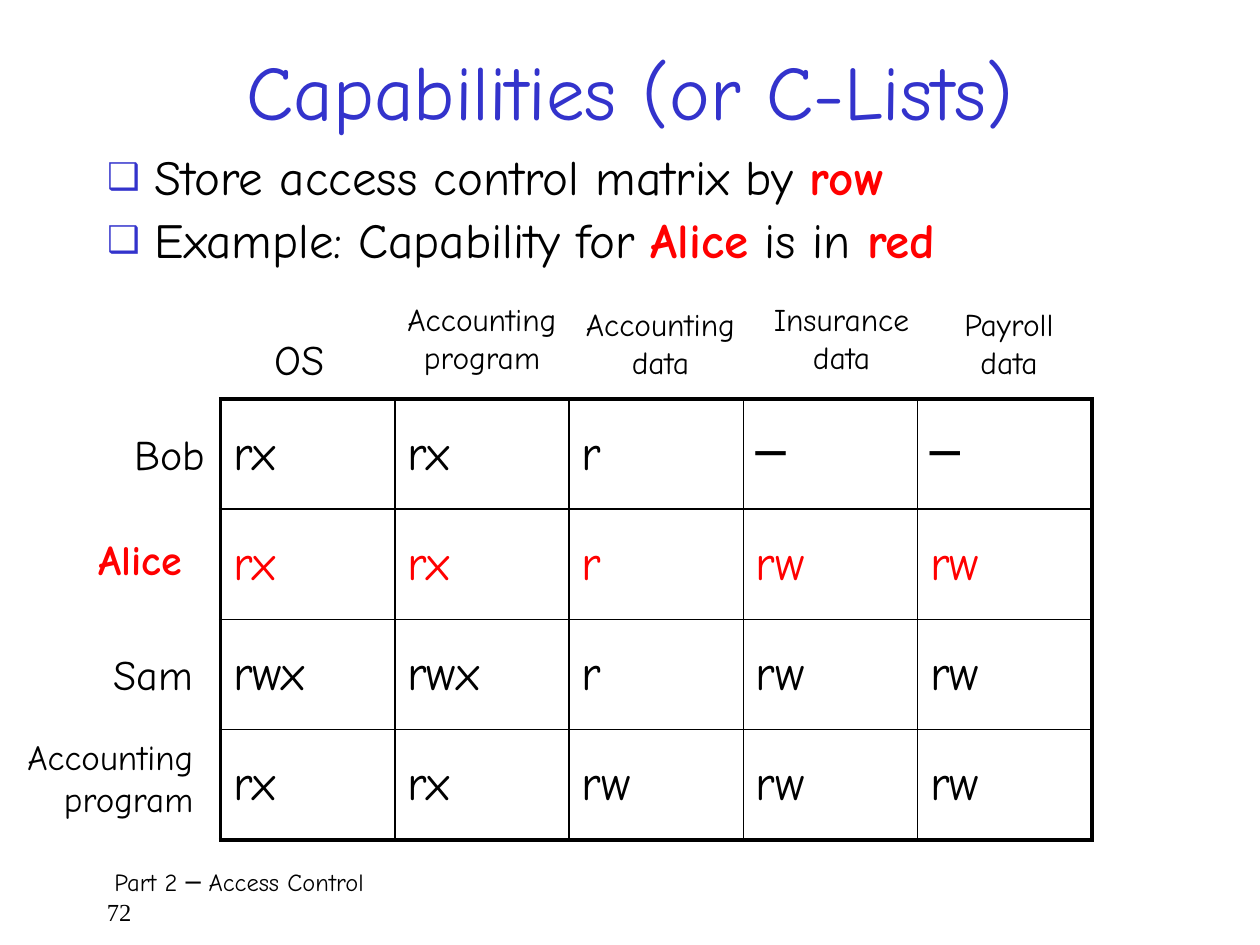
"""Build the slide on capabilities: an access control matrix with Alice's row in red."""
from lxml.etree import SubElement
from pptx import Presentation
from pptx.dml.color import RGBColor
from pptx.enum.text import MSO_ANCHOR as ANCHOR, MSO_AUTO_SIZE as AUTO, PP_ALIGN as ALIGN
from pptx.oxml import parse_xml
from pptx.oxml.ns import nsdecls, qn
from pptx.util import Inches, Pt

BLACK = RGBColor(0x00, 0x00, 0x00)
RED = RGBColor(0xFF, 0x00, 0x00)
BLUE = RGBColor(0x33, 0x33, 0xCC)
FONT = "Comic Neue"

prs = Presentation()
prs.slide_width, prs.slide_height = Inches(10), Inches(7.5)
U = prs.slide_width // 120
s = prs.slides.add_slide(prs.slide_layouts[1])


def place(sp, *box):
    sp.left, sp.top, sp.width, sp.height = [round(v * U) for v in box]


def style(p, size, color=BLACK, bold=False, align=ALIGN.LEFT, font=FONT):
    p.font.size, p.font.name, p.font.bold = Pt(size), font, bold
    p.font.color.rgb = color
    p.alignment = align


title = s.shapes.title
place(title, 9, 2, 102, 13)
tf = title.text_frame
tf.text = "Capabilities (or C-Lists)"
tf.auto_size, tf.vertical_anchor = AUTO.NONE, ANCHOR.MIDDLE
style(tf.paragraphs[0], 44, BLUE, align=ALIGN.CENTER)

body = s.placeholders[1]
place(body, 9, 14, 102, 15)
tf = body.text_frame
tf.auto_size = AUTO.NONE
bullets = [
    [("Store access control matrix by ", False), ("row", True)],
    [("Example: Capability for ", False), ("Alice", True), (" is in ", False), ("red", True)],
]
for i, parts in enumerate(bullets):
    p = tf.add_paragraph() if i else tf.paragraphs[0]
    style(p, 28)
    p.line_spacing, p.space_before = 0.9, Pt(5.6)
    pPr = p._p.get_or_add_pPr()
    pPr.set("marL", str(Inches(0.38)))
    pPr.set("indent", str(-Inches(0.38)))
    marks = [
        f'<a:buClr {nsdecls("a")}><a:srgbClr val="{BLUE}"/></a:buClr>',
        f'<a:buSzPct {nsdecls("a")} val="75000"/>',
        f'<a:buChar {nsdecls("a")} char="❑"/>',
    ]
    at = pPr.index(pPr.find(qn("a:defRPr")))
    for k, mark in enumerate(marks):
        pPr.insert(at + k, parse_xml(mark))
    for text, key in parts:
        r = p.add_run()
        r.text = text
        r.font.size, r.font.name, r.font.bold = Pt(28), FONT, key
        r.font.color.rgb = RED if key else BLACK

rights = [
    ["rx", "rx", "r", "─", "─"],
    ["rx", "rx", "r", "rw", "rw"],
    ["rwx", "rwx", "r", "rw", "rw"],
    ["rx", "rx", "rw", "rw", "rw"],
]
rows, cols = len(rights), len(rights[0])
table = s.shapes.add_table(rows, cols, 21 * U, 38 * U, 83 * U, 42 * U).table
table.first_row = table.horz_banding = False
for i, row in enumerate(rights):
    for j, text in enumerate(row):
        cell = table.cell(i, j)
        cell.text, cell.vertical_anchor = text, ANCHOR.MIDDLE
        p = cell.text_frame.paragraphs[0]
        style(p, 28, RED if i == 1 else BLACK)
        p.space_before = Pt(5.6)
        cell.fill.background()
        tcPr = cell._tc.get_or_add_tcPr()
        outer = {"L": j == 0, "R": j == cols - 1, "T": i == 0, "B": i == rows - 1}
        for k, (side, thick) in enumerate(outer.items()):
            ln = SubElement(tcPr, qn(f"a:ln{side}"), w=str(Pt(2.25 if thick else 1)))
            SubElement(SubElement(ln, qn("a:solidFill")), qn("a:srgbClr"), val=str(BLACK))
            tcPr.insert(k, ln)

labels = [
    (["OS"], 24, BLACK, ALIGN.LEFT, (25, 31.2, 8.4, 6.8)),
    (["Accounting", "program"], 18, BLACK, ALIGN.CENTER, (37, 28, 17.8, 9.6)),
    (["Accounting", "data"], 18, BLACK, ALIGN.CENTER, (54, 28.5, 17.8, 9.6)),
    (["Insurance", "data"], 18, BLACK, ALIGN.CENTER, (72, 28, 16.3, 9.6)),
    (["Payroll", "data"], 18, BLACK, ALIGN.CENTER, (90.2, 28.5, 11.8, 9.6)),
    (["Bob"], 24, BLACK, ALIGN.LEFT, (11.6, 40.2, 9.4, 6.8)),
    (["Alice"], 24, RED, ALIGN.LEFT, (8.2, 50.2, 11.9, 6.8)),
    (["Sam"], 24, BLACK, ALIGN.LEFT, (9.6, 61.2, 10.3, 6.8)),
    (["Accounting", "program"], 20, BLACK, ALIGN.RIGHT, (0, 69.5, 19.6, 10.6)),
]
for lines, size, color, align, box in labels:
    sp = s.shapes.add_textbox(0, 0, U, U)
    place(sp, *box)
    tf = sp.text_frame
    tf.word_wrap, tf.auto_size = False, AUTO.SHAPE_TO_FIT_TEXT
    tf.text = "\n".join(lines)
    for p in tf.paragraphs:
        style(p, size, color, color == RED, align)

footer = s.shapes.add_textbox(9 * U, 82 * U, 103 * U, 6 * U)
tf = footer.text_frame
tf.word_wrap = True
tf.text = "Part 2 ─ Access Control\n72"
part, number = tf.paragraphs
style(part, 14)
part._p.get_or_add_pPr().set("marL", str(Inches(0.06)))
style(number, 14, font="Times New Roman")

prs.save("out.pptx")
